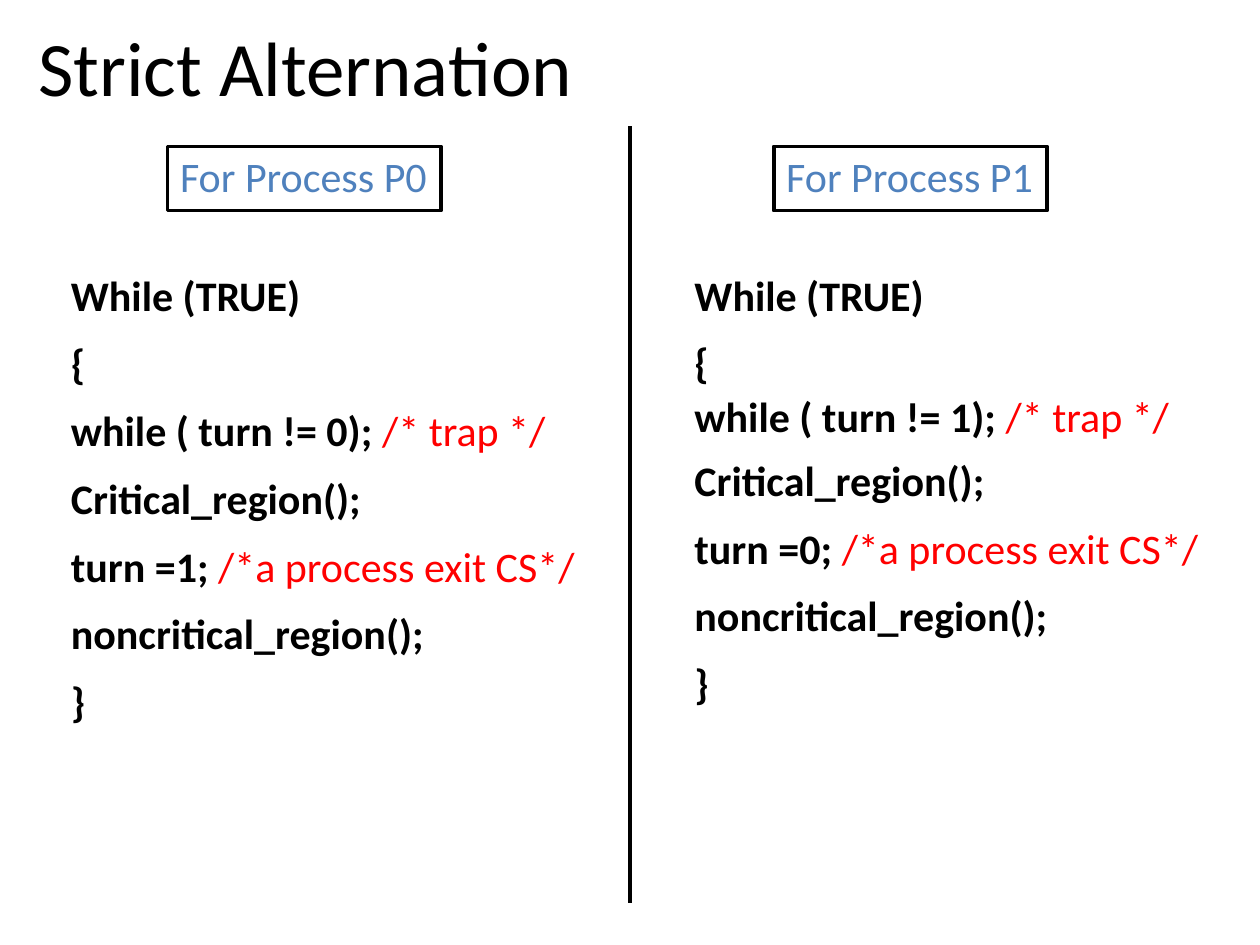
"""Build the Strict Alternation slide comparing two processes."""
import pptx
import pptx.dml.color
import pptx.enum.shapes
import pptx.enum.text
import pptx.util
from lxml import etree
from pptx.oxml.ns import qn

Cm = pptx.util.Cm
Pt = pptx.util.Pt
RGBColor = pptx.dml.color.RGBColor

BLACK = RGBColor(0x00, 0x00, 0x00)
BLUE = RGBColor(0x4F, 0x81, 0xBD)
RED = RGBColor(0xFF, 0x00, 0x00)


class SlideBuilder:
    """Hold the shared style and the current slide."""

    font_name = "Calibri"
    title_size = Pt(44)
    text_size = Pt(24)
    line_width = Pt(2)

    def __init__(self, deck):
        self.page = deck.slides.add_slide(deck.slide_layouts[5])

    def prepare_frame(self, shape, left=0, top=0):
        """Set insets, wrapping and anchoring, and return the text frame."""
        frame = shape.text_frame
        frame.auto_size = pptx.enum.text.MSO_AUTO_SIZE.NONE
        frame.word_wrap = True
        frame.vertical_anchor = pptx.enum.text.MSO_ANCHOR.TOP
        frame.margin_left, frame.margin_top = Cm(left), Cm(top)
        frame.margin_right = frame.margin_bottom = 0
        return frame

    def style(self, para, size, color, bold=None):
        """Apply the slide font to a left-aligned paragraph."""
        para.alignment = pptx.enum.text.PP_ALIGN.LEFT
        para.font.name = self.font_name
        para.font.size = size
        para.font.bold = bold
        para.font.color.rgb = color

    def title(self, text, left, top, width, height):
        """Move, fill and format the title placeholder."""
        box = self.page.shapes.title
        box.left, box.top = Cm(left), Cm(top)
        box.width, box.height = Cm(width), Cm(height)
        para = self.prepare_frame(box, 0.03, 0.03).paragraphs[0]
        para.text = text
        self.style(para, self.title_size, BLACK)

    def code(self, lines, left, top, width, height, indent, inset):
        """Add code lines given as statement, comment and space before."""
        box = self.page.shapes.add_textbox(Cm(left), Cm(top), Cm(width), Cm(height))
        frame = self.prepare_frame(box, indent, inset)
        for index, (statement, comment, gap) in enumerate(lines):
            para = frame.add_paragraph() if index else frame.paragraphs[0]
            para.space_before = Pt(gap)
            self.style(para, self.text_size, BLACK, True)
            para.add_run().text = statement
            if comment:
                span = para.add_run()
                span.text = comment
                span.font.bold = False
                span.font.color.rgb = RED

    def label(self, text, left, top, width, height):
        """Add an outlined process label."""
        box = self.page.shapes.add_shape(
            pptx.enum.shapes.MSO_SHAPE.RECTANGLE, Cm(left), Cm(top), Cm(width), Cm(height))
        box.shadow.inherit = False
        box.fill.background()
        box.line.color.rgb = BLACK
        box.line.width = self.line_width
        para = self.prepare_frame(box, 0.25, 0.08).paragraphs[0]
        para.text = text
        self.style(para, self.text_size, BLUE)

    def divider(self, left, top, bottom):
        """Add a vertical line."""
        line = self.page.shapes.add_connector(
            pptx.enum.shapes.MSO_CONNECTOR.STRAIGHT, Cm(left), Cm(top), Cm(left), Cm(bottom))
        line.line.color.rgb = BLACK
        line.line.width = self.line_width
        etree.SubElement(line._element.spPr, qn("a:effectLst"))


def process_code(own, other, trap_gap, region_gap):
    """Return the code lines of one process."""
    return [
        ("While (TRUE)", "", 0),
        ("{", "", 9.8),
        (f"while ( turn != {own}); ", "/* trap */", trap_gap),
        ("Critical_region();", "", region_gap),
        (f"turn ={other}; ", "/*a process exit CS*/", 9.8),
        ("noncritical_region();", "", 9.8),
        ("}", "", 9.8),
    ]


def main():
    """Build and save the deck."""
    deck = pptx.Presentation()
    deck.slide_width, deck.slide_height = Cm(25.4), Cm(19.05)
    slide = SlideBuilder(deck)
    slide.title("Strict Alternation", 0.74, 0.36, 23.9, 1.93)
    slide.code(process_code(0, 1, 9.8, 9.8), 0.97, 4.5, 11.15, 13.08, 0.46, 0.94)
    slide.code(process_code(1, 0, 1.8, 7.9), 13.97, 5.05, 10.3, 9.27, 0.03, 0.38)
    for number, left in enumerate((3.38, 15.6)):
        slide.label(f"For Process P{number}", left, 2.95, 5.51, 1.3)
    slide.divider(12.7, 2.54, 18.21)
    deck.save("out.pptx")


if __name__ == "__main__":
    main()
